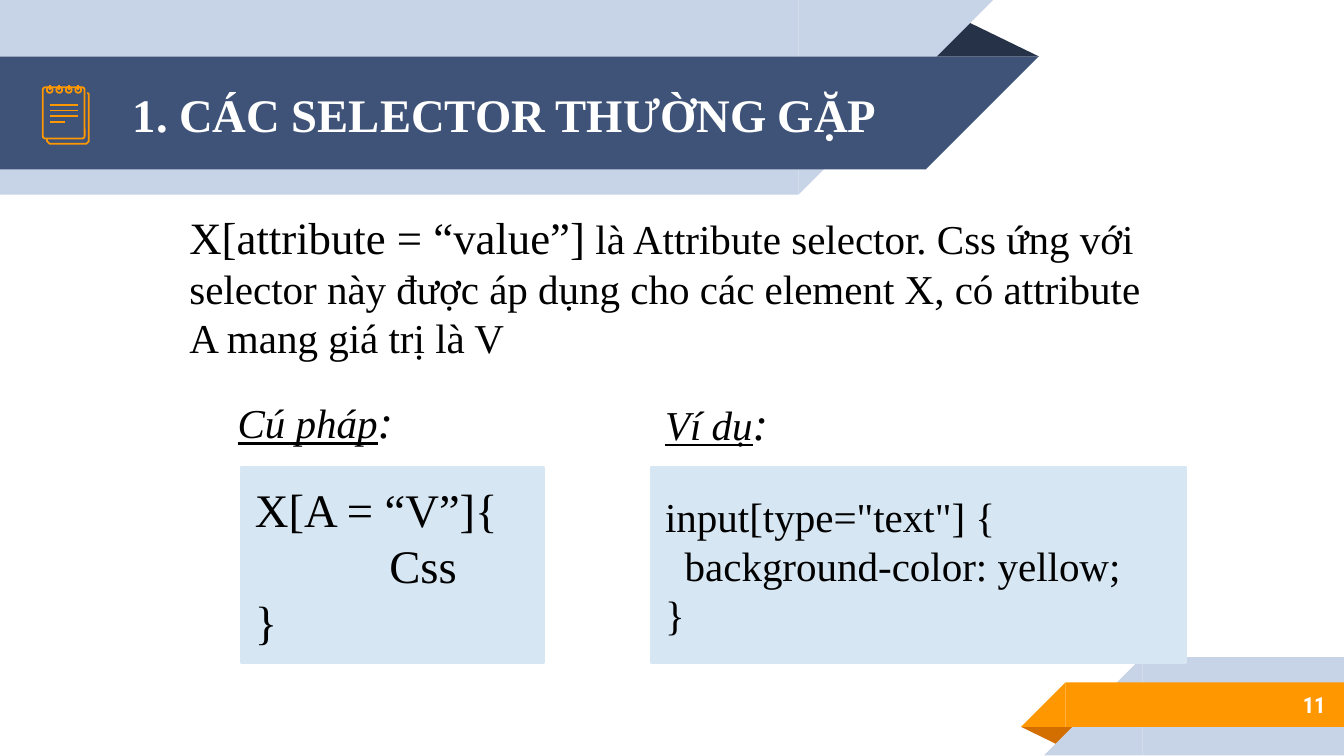
from dataclasses import dataclass

from lxml.etree import SubElement
from pptx import Presentation
from pptx.dml.color import RGBColor as Rgb
from pptx.enum.shapes import MSO_CONNECTOR as Connector, MSO_SHAPE as Shape
from pptx.enum.text import MSO_ANCHOR as Anchor, PP_ALIGN as Align
from pptx.oxml.ns import qn
from pptx.util import Cm, Pt


@dataclass(frozen=True)
class Theme:
    pale: str = "C7D3E6"
    navy: str = "3F5378"
    dark: str = "263248"
    orange: str = "FF9800"
    rust: str = "D26F00"
    panel: str = "D6E6F2"
    black: str = "000000"
    white: str = "FFFFFF"
    serif: str = "Times New Roman"
    sans: str = "Roboto Condensed"
    large: float = 25
    lead: float = 24
    body: float = 22
    number: float = 12
    icon_line: float = 0.96
    panel_line: float = 2


theme = Theme()

TITLE = "1. CÁC SELECTOR THƯỜNG GẶP"
PAGE_NUMBER = "11"
INTRO = [
    ("X[attribute = “value”]", theme.lead),
    (" là Attribute selector. Css ứng với selector này được áp dụng cho các "
     "element X, có attribute A mang giá trị là V", theme.body),
]
LABELS = [("Cú pháp", (4.24, 7.29, 3.81, 1.32)), ("Ví dụ", (12.32, 7.32, 3.81, 1.32))]
PANELS = [
    ((4.57, 8.84, 5.69, 3.68), theme.large,
     [("X[A = “V”]{", 0), ("Css", 2.54), ("}", 0)]),
    ((12.32, 8.84, 10.08, 3.68), theme.body,
     [('input[type="text"] {', 0), ("background-color: yellow;", 0.37), ("}", 0)]),
]
HEADER_BANDS = [(0, 0, 15.09, 3.68, theme.pale), (0, 1.07, 17.5, 2.13, theme.navy)]
FOOTER_BANDS = [(21.59, 12.42, 3.81, 1.86, theme.pale), (20.14, 12.9, 5.26, 0.84, theme.orange)]

PAD = (0.81, 1.65, 0.79, 0.97)
BACK_PAD = [(0.89, 2.62), (0.89, 2.67), (0.94, 2.72), (1.63, 2.72),
            (1.68, 2.67), (1.68, 1.78), (1.65, 1.75)]
RULE_WIDTHS = [0.53, 0.53, 0.53, 0.28]
RULE_TOP, RULE_GAP = 1.98, 0.11
RING_COUNT, RING_GAP, RING_SIZE = 4, 0.18, 0.11
ICON_LEFT, RING_TOP, RING_MIDDLE = 0.94, 1.6, 1.7

deck = Presentation()
deck.slide_width, deck.slide_height = Cm(25.4), Cm(14.29)
page = deck.slides.add_slide(deck.slide_layouts[5])
shapes = page.shapes


def place(at):
    return [Cm(value) for value in at]


def add_filled(kind, at, color):
    shape = shapes.add_shape(kind, *place(at))
    shape.shadow.inherit = False
    shape.fill.solid()
    shape.fill.fore_color.rgb = Rgb.from_string(color)
    shape.line.fill.background()
    return shape


def add_band(left, top, width, height, color, header):
    slant_left = left + width if header else left - height
    for kind, at in ((Shape.RECTANGLE, (left, top, width, height)),
                     (Shape.RIGHT_TRIANGLE, (slant_left, top, height, height))):
        shape = add_filled(kind, at, color)
        shape.rotation = 180 if header else 0
        shape._element.spPr.find(qn("a:xfrm")).set("flipH", "1")


def add_fold(at, color, rotation):
    fold = add_filled(Shape.ISOSCELES_TRIANGLE, at, color)
    fold.adjustments[0] = 0.324
    fold.rotation = rotation


def draw_line(shape, color, width):
    shape.line.color.rgb = Rgb.from_string(color)
    shape.line.width = Pt(width)


def outline(shape):
    shape.shadow.inherit = False
    shape.fill.background()
    draw_line(shape, theme.orange, theme.icon_line)


def add_stroke(start_x, start_y, end_x, end_y):
    stroke = shapes.add_connector(Connector.STRAIGHT, *place((start_x, start_y, end_x, end_y)))
    draw_line(stroke, theme.orange, theme.icon_line)
    SubElement(stroke._element.spPr, qn("a:effectLst"))


def set_font(font, size=None, color=theme.black, name=theme.serif, bold=None, italic=None):
    font.name, font.bold, font.italic = name, bold, italic
    font.color.rgb = Rgb.from_string(color)
    if size:
        font.size = Pt(size)


def add_text(at):
    box = shapes.add_textbox(*place(at))
    box.text_frame.word_wrap = True
    return box.text_frame


def add_spans(para, spans):
    for text, size in spans:
        span = para.add_run()
        span.text = text
        span.font.size = Pt(size)


def pad_frame(frame):
    frame.vertical_anchor = Anchor.MIDDLE
    frame.margin_left = frame.margin_right = Cm(0.25)
    frame.margin_top = frame.margin_bottom = Cm(0.25)


add_fold((17.48, 0.36, 2.16, 0.71), theme.dark, 0)
for band in HEADER_BANDS:
    add_band(*band, header=True)
add_fold((19.3, 13.74, 1.09, 0.36), theme.rust, 180)
for band in FOOTER_BANDS:
    add_band(*band, header=False)

frame = add_text((21.16, 12.88, 4.14, 0.89))
pad_frame(frame)
para = frame.paragraphs[0]
para.text, para.alignment = PAGE_NUMBER, Align.RIGHT
set_font(para.font, theme.number, theme.white, theme.sans, bold=True)

first, *others = [tuple(place(point)) for point in BACK_PAD]
builder = shapes.build_freeform(*first, scale=1.0)
builder.add_line_segments(others, close=False)
outline(builder.convert_to_shape())
pad = shapes.add_shape(Shape.ROUNDED_RECTANGLE, *place(PAD))
pad.adjustments[0] = 0.06
outline(pad)
for row, width in enumerate(RULE_WIDTHS):
    y = RULE_TOP + row * RULE_GAP
    add_stroke(ICON_LEFT + width, y, ICON_LEFT, y)
for column in range(RING_COUNT):
    x = ICON_LEFT + column * RING_GAP
    ring_at = (x - RING_SIZE / 2, RING_MIDDLE - RING_SIZE / 2, RING_SIZE, RING_SIZE)
    outline(shapes.add_shape(Shape.OVAL, *place(ring_at)))
    add_stroke(x, RING_TOP, x, RING_MIDDLE)

title = shapes.title
title.left, title.top, title.width, title.height = place((2.26, 1.09, 14.61, 2.13))
title.text_frame.text = TITLE
pad_frame(title.text_frame)
para = title.text_frame.paragraphs[0]
para.alignment = Align.LEFT
set_font(para.font, theme.large, theme.white, bold=True)
shapes._spTree.append(title._element)

para = add_text((3.33, 3.84, 18.75, 3.18)).paragraphs[0]
set_font(para.font)
add_spans(para, INTRO)

for label, at in LABELS:
    para = add_text(at).paragraphs[0]
    set_font(para.font, italic=True)
    add_spans(para, [(label, theme.body), (":", theme.large)])
    para.runs[0].font.underline = True

for at, size, lines in PANELS:
    panel = add_filled(Shape.RECTANGLE, at, theme.panel)
    draw_line(panel, theme.panel, theme.panel_line)
    frame = panel.text_frame
    frame.word_wrap, frame.vertical_anchor = True, Anchor.MIDDLE
    frame.text = "\n".join(text for text, indent in lines)
    for para, (text, indent) in zip(frame.paragraphs, lines):
        para.alignment = Align.LEFT
        para._p.get_or_add_pPr().set("marL", str(Cm(indent)))
        set_font(para.font, size)

deck.save("out.pptx")
